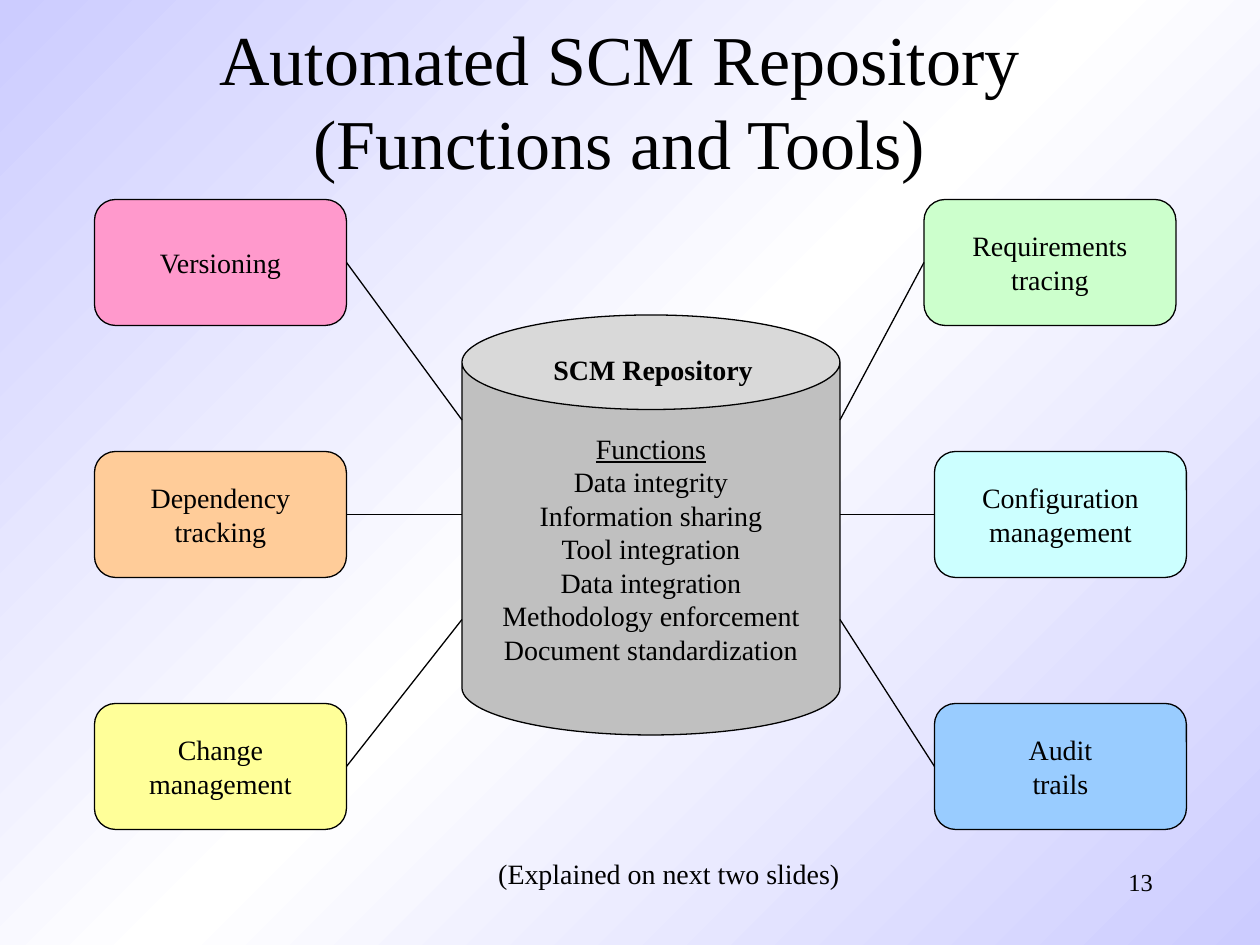
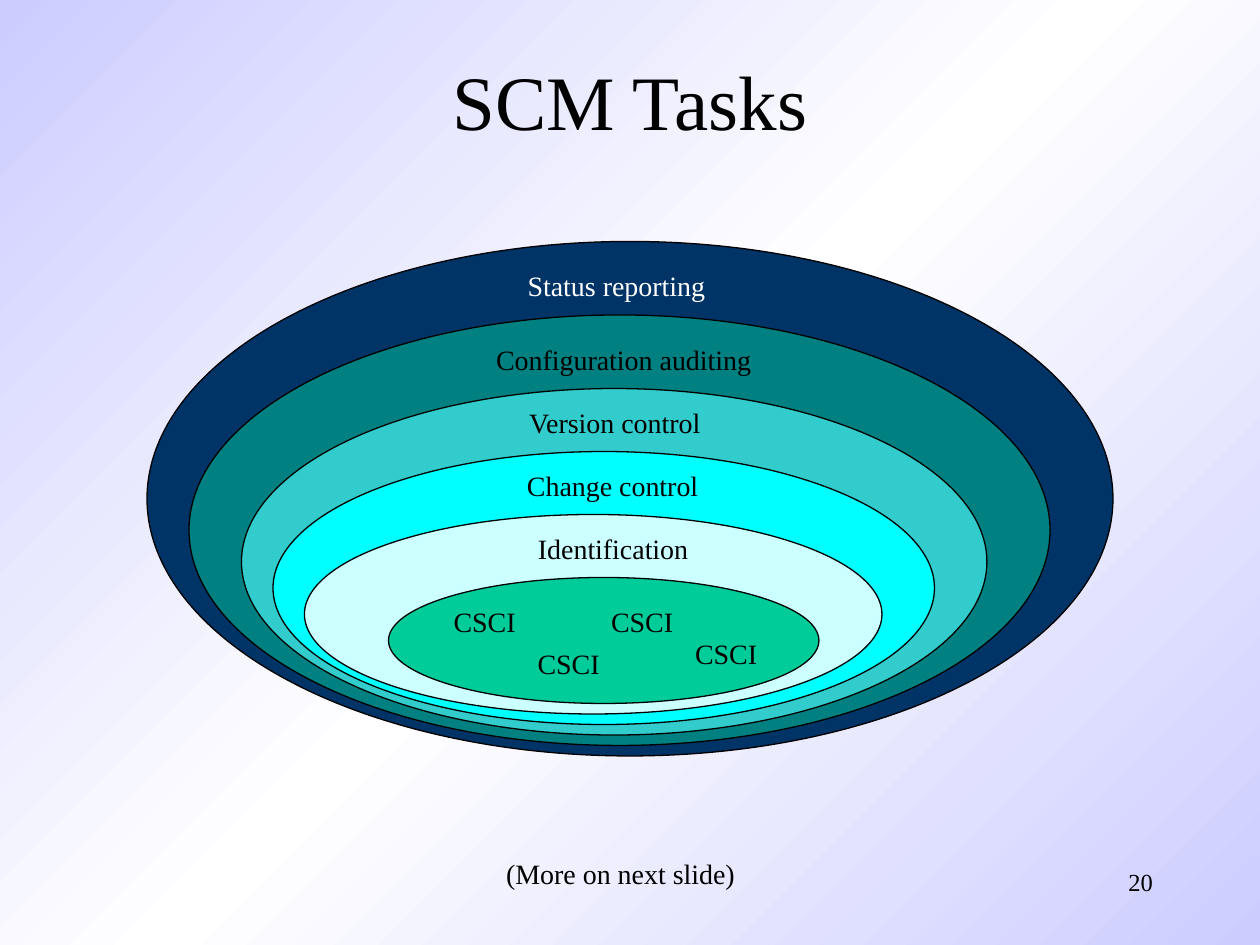
from dataclasses import dataclass

from lxml import etree
from pptx import Presentation
from pptx.dml.color import RGBColor
from pptx.enum.shapes import MSO_CONNECTOR, MSO_SHAPE
from pptx.enum.text import MSO_ANCHOR, MSO_AUTO_SIZE, PP_ALIGN
from pptx.oxml.ns import qn
from pptx.util import Pt

PX = 7620  # 120 px to the inch
STRAIGHT = MSO_CONNECTOR.STRAIGHT
CAN, OVAL, ROUNDED = MSO_SHAPE.CAN, MSO_SHAPE.OVAL, MSO_SHAPE.ROUNDED_RECTANGLE
TOP, MIDDLE = MSO_ANCHOR.TOP, MSO_ANCHOR.MIDDLE
CENTER, RIGHT = PP_ALIGN.CENTER, PP_ALIGN.RIGHT
FIXED, FIT_SHAPE = MSO_AUTO_SIZE.NONE, MSO_AUTO_SIZE.SHAPE_TO_FIT_TEXT
LEFT_SIDE, RIGHT_SIDE = 1, 3
TITLE_ONLY = 5


@dataclass(frozen=True)
class Theme:
    font: str = "Times New Roman"
    ink: str = "000000"
    light_ink: str = "FFFFFF"
    repository: str = "C0C0C0"
    items: str = "00CC99"
    background: tuple = ((0, "CCCCFF"), (50, "FFFFFF"), (100, "CCCCFF"))
    background_angle: int = 315
    body_size: int = 16
    number_size: int = 14
    line_width: float = 0.75


THEME = Theme()

# Content: "\n" starts a paragraph, "\v" breaks a line
REPOSITORY_PAGE = dict(
    title="Automated SCM Repository\v(Functions and Tools)", title_left=80, title_size=40,
    number="13", note=("(Explained on next two slides)", 461, 352))
TASKS_PAGE = dict(
    title="SCM Tasks", title_left=90, title_size=44,
    number="20", note=("(More on next slide)", 469, 244))

FUNCTIONS = [
    "Functions", "Data integrity", "Information sharing", "Tool integration",
    "Data integration", "Methodology enforcement", "Document standardization",
]
LEFT_TOOLS = [  # text, left, fill
    ("Versioning", 90, "FF99CC"),
    ("Dependency\ntracking", 90, "FFCC99"),
    ("Change\nmanagement", 90, "FFFF99"),
]
RIGHT_TOOLS = [
    ("Requirements\ntracing", 880, "CCFFCC"),
    ("Configuration\nmanagement", 890, "CCFFFF"),
    ("Audit\ntrails", 890, "99CCFF"),
]
TASKS = [  # text, ellipse (left, top, width), fill, label (left, top, width), ink
    ("Status reporting", (140, 230, 920), "003366", (489, 250, 196), THEME.light_ink),
    ("Configuration auditing", (180, 300, 820), "008080", (459, 320, 270), THEME.ink),
    ("Version control", (230, 370, 710), "33CCCC", (489, 380, 193), THEME.ink),
    ("Change control", (260, 430, 630), "00FFFF", (488, 440, 191), THEME.ink),
    ("Identification", (290, 490, 550), "CCFFFF", (499, 500, 170), THEME.ink),
    ("", (370, 550, 410), THEME.items, None, THEME.ink),
]
ITEM_PLACES = [(420, 570), (500, 610), (570, 570), (650, 600)]

TOOL_TOP, TOOL_STEP, TOOL_WIDTH, TOOL_HEIGHT = 190, 240, 240, 120
REPOSITORY = (440, 300, 360, 400)
REPOSITORY_JOINTS = (400, 490, 590)
LABEL_HEIGHT = 44
OUTER_BOTTOM, BOTTOM_STEP = 720, 10


def emu(*lengths):
    return [length * PX for length in lengths]


def color(value):
    return RGBColor.from_string(value)


def write(shape, text, size=THEME.body_size, ink=THEME.ink, align=CENTER, anchor=MIDDLE,
          wrap=False, fit=FIXED, bold=False, underline_first=False):
    frame = shape.text_frame
    frame.word_wrap = wrap
    frame.auto_size = fit
    frame.vertical_anchor = anchor
    for index, line in enumerate(text.split("\n")):
        para = frame.add_paragraph() if index else frame.paragraphs[0]
        para.alignment = align
        for part_index, part in enumerate(line.split("\v")):
            if part_index:
                para.add_line_break()
            span = para.add_run()
            span.text = part
            span.font.name = THEME.font
            span.font.size = Pt(size)
            span.font.color.rgb = color(ink)
            span.font.bold = bold
            span.font.underline = underline_first and index == 0


def add_label(shapes, text, left, top, width, **text_format):
    box = shapes.add_textbox(*emu(left, top, width, LABEL_HEIGHT))
    write(box, text, anchor=TOP, fit=FIT_SHAPE, **text_format)


def draw_line(line):
    line.color.rgb = color(THEME.ink)
    line.width = Pt(THEME.line_width)


def add_figure(shapes, kind, place, fill, adjustment=None):
    figure = shapes.add_shape(kind, *emu(*place))
    figure.shadow.inherit = False
    figure.fill.solid()
    figure.fill.fore_color.rgb = color(fill)
    draw_line(figure.line)
    if adjustment is not None:
        figure.adjustments[0] = adjustment
    return figure


def join(shapes, box, side, end_x, end_y):
    """Draw a line from the middle of a box's side to a point."""
    connector = shapes.add_connector(STRAIGHT, *emu(0, 0, end_x, end_y))
    connector.begin_connect(box, side)
    draw_line(connector.line)
    etree.SubElement(connector.element.spPr, qn("a:effectLst"))


def paint_background(master):
    fill = master.background.fill
    fill.gradient()
    fill.gradient_angle = THEME.background_angle
    stops = next(master.element.cSld.iter(qn("a:gsLst")))
    for stop in list(stops):
        stops.remove(stop)
    for percent, value in THEME.background:
        stop = etree.SubElement(stops, qn("a:gs"), pos=str(percent * 1000))
        etree.SubElement(stop, qn("a:srgbClr"), val=value)


def add_page(deck, title, title_left, title_size, number, note):
    page = deck.slides.add_slide(deck.slide_layouts[TITLE_ONLY])
    heading = page.shapes.title
    heading.left, heading.top, heading.width, heading.height = emu(title_left, 20, 1020, 150)
    write(heading, title, size=title_size, wrap=True)
    number_box = page.shapes.add_textbox(*emu(860, 820, 250, 60))
    write(number_box, number, size=THEME.number_size, align=RIGHT, anchor=TOP, wrap=True)
    text, left, width = note
    add_label(page.shapes, text, left, 810, width)
    return page


def build_repository(shapes):
    left, _, width, _ = REPOSITORY
    can = add_figure(shapes, CAN, REPOSITORY, THEME.repository, 0.25)
    write(can, "\n".join(FUNCTIONS), underline_first=True)
    add_label(shapes, "SCM Repository", 514, 330, 216, bold=True)
    for tools, side, edge in ((LEFT_TOOLS, RIGHT_SIDE, left),
                              (RIGHT_TOOLS, LEFT_SIDE, left + width)):
        for row, (text, tool_left, fill) in enumerate(tools):
            place = (tool_left, TOOL_TOP + row * TOOL_STEP, TOOL_WIDTH, TOOL_HEIGHT)
            box = add_figure(shapes, ROUNDED, place, fill, 0.167)
            write(box, text)
            join(shapes, box, side, edge, REPOSITORY_JOINTS[row])


def build_tasks(shapes):
    for ring, (_, (left, top, width), fill, _, _) in enumerate(TASKS):
        height = OUTER_BOTTOM - ring * BOTTOM_STEP - top
        add_figure(shapes, OVAL, (left, top, width, height), fill)
    for text, _, _, label, ink in TASKS:
        if label:
            add_label(shapes, text, *label, ink=ink)
    for left, top in ITEM_PLACES:
        add_label(shapes, "CSCI", left, top, 83)


def main():
    deck = Presentation()
    deck.slide_width, deck.slide_height = emu(1200, 900)
    paint_background(deck.slide_master)
    build_repository(add_page(deck, **REPOSITORY_PAGE).shapes)
    build_tasks(add_page(deck, **TASKS_PAGE).shapes.add_group_shape().shapes)
    deck.save("out.pptx")


if __name__ == "__main__":
    main()
